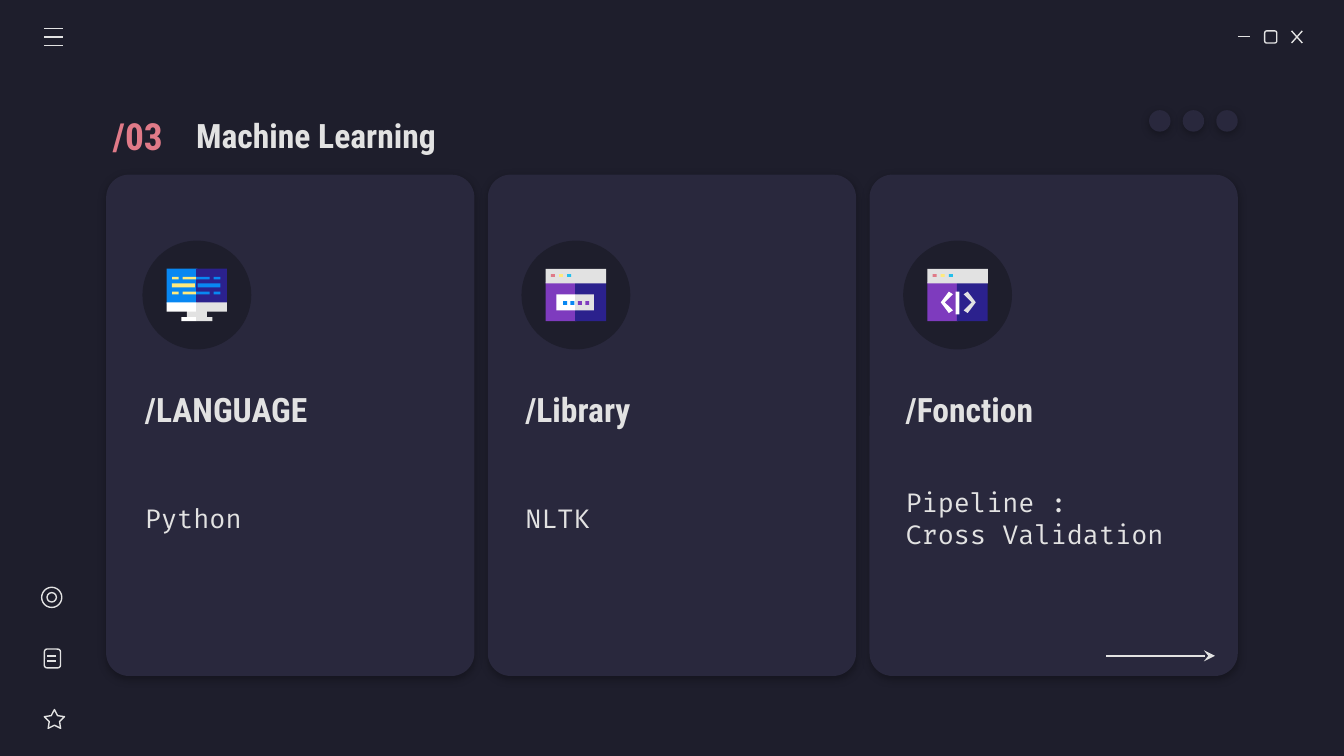
from lxml import etree
from pptx import Presentation
from pptx.dml.color import RGBColor
from pptx.enum.shapes import MSO_CONNECTOR, MSO_SHAPE as SHAPE
from pptx.enum.text import MSO_ANCHOR, MSO_AUTO_SIZE, PP_ALIGN
from pptx.oxml.ns import qn
from pptx.util import Inches, Pt

BACK, PANEL, LIGHT, WHITE = "1E1E2C", "29283D", "E2E2E2", "FFFFFF"
PINK, YELLOW, CYAN = "E07A88", "FFEA7D", "24BFEB"
BLUE, NAVY, PURPLE = "0887F2", "2B218D", "7E3BBE"
HEAD_FONT, CODE_FONT = "Roboto Condensed", "Fira Code"


def rgb(value):
    return RGBColor.from_string(value)


def paint(s, fill=None, line=None):
    s.shadow.inherit = False
    if fill:
        s.fill.solid()
        s.fill.fore_color.rgb = rgb(fill)
    else:
        s.fill.background()
    if line:
        s.line.color.rgb = rgb(line)
        s.line.width = Pt(0.75)
    else:
        s.line.fill.background()
    return s


def add_box(shapes, kind, x, y, w, h, fill=None, line=None):
    s = shapes.add_shape(kind, Inches(x), Inches(y), Inches(w), Inches(h))
    return paint(s, fill, line)


def add_line(shapes, x1, y1, x2, y2):
    s = shapes.add_connector(MSO_CONNECTOR.STRAIGHT, Inches(x1), Inches(y1), Inches(x2), Inches(y2))
    s.line.color.rgb = rgb(LIGHT)
    s.line.width = Pt(0.75)
    etree.SubElement(s._element.spPr, qn("a:effectLst"))
    return s


def add_polygon(shapes, points, fill):
    points = [(Inches(x), Inches(y)) for x, y in points]
    builder = shapes.build_freeform(*points[0], scale=1.0)
    builder.add_line_segments(points[1:], close=True)
    paint(builder.convert_to_shape(), fill)


def add_soft_shadow(s):
    effects = s._element.spPr.find(qn("a:effectLst"))
    shadow = etree.SubElement(effects, qn("a:outerShdw"), blurRad=str(Pt(4.5)), dist=str(Pt(1.5)),
                              dir="5400000", algn="bl", rotWithShape="0")
    color = etree.SubElement(shadow, qn("a:srgbClr"), val="000000")
    etree.SubElement(color, qn("a:alpha"), val="30000")


def write(s, lines, size, font, color=LIGHT, bold=False, align=PP_ALIGN.LEFT):
    tf = s.text_frame
    tf.word_wrap = True
    tf.auto_size = MSO_AUTO_SIZE.NONE
    tf.vertical_anchor = MSO_ANCHOR.MIDDLE
    tf.margin_left = tf.margin_right = tf.margin_top = tf.margin_bottom = Inches(0.1)
    for i, line in enumerate(lines):
        p = tf.add_paragraph() if i else tf.paragraphs[0]
        p.alignment = align
        r = p.add_run()
        r.text = line
        r.font.size, r.font.name, r.font.bold = Pt(size), font, bold
        r.font.color.rgb = rgb(color)


def add_text(shapes, x, y, w, h, lines, *style, **options):
    s = shapes.add_textbox(Inches(x), Inches(y), Inches(w), Inches(h))
    write(s, lines, *style, **options)


def add_blocks(shapes, x, y, blocks):
    for dx, dy, w, h, fill in blocks:
        add_box(shapes, SHAPE.RECTANGLE, x + dx, y + dy, w, h, fill)


def draw_monitor(shapes, x, y):
    blocks = [(0, 0, 0.23, 0.26, BLUE), (0.22, 0, 0.23, 0.26, NAVY),
              (0.15, 0.3, 0.15, 0.07, LIGHT),
              (0.11, 0.36, 0.11, 0.03, WHITE), (0.22, 0.36, 0.12, 0.03, LIGHT),
              (0, 0.25, 0.22, 0.07, WHITE), (0.22, 0.25, 0.23, 0.07, LIGHT),
              (0.04, 0.11, 0.17, 0.03, YELLOW), (0.23, 0.11, 0.17, 0.03, BLUE)]
    for row in (0.06, 0.17):
        blocks += [(0.04, row, 0.05, 0.02, YELLOW), (0.12, row, 0.1, 0.02, YELLOW),
                   (0.22, row, 0.1, 0.02, BLUE), (0.35, row, 0.05, 0.02, BLUE)]
    add_blocks(shapes, x, y, blocks)


def draw_window(shapes, x, y):
    blocks = [(0, 0.1, 0.23, 0.29, PURPLE), (0.22, 0.1, 0.23, 0.29, NAVY),
              (0, 0, 0.45, 0.11, LIGHT)]
    for i, fill in enumerate((PINK, YELLOW, CYAN)):
        blocks.append((0.04 + 0.06 * i, 0.04, 0.03, 0.02, fill))
    add_blocks(shapes, x, y, blocks)


def draw_password_window(shapes, x, y):
    draw_window(shapes, x, y)
    blocks = [(0.08, 0.19, 0.14, 0.12, WHITE), (0.22, 0.19, 0.14, 0.12, LIGHT)]
    for i, fill in enumerate((BLUE, BLUE, PURPLE, PURPLE)):
        blocks.append((0.13 + 0.055 * i, 0.24, 0.03, 0.03, fill))
    add_blocks(shapes, x, y, blocks)


def draw_code_window(shapes, x, y):
    draw_window(shapes, x, y)
    chevron = [(-0.07, -0.08), (-0.13, 0), (-0.07, 0.08), (-0.04, 0.06), (-0.1, 0), (-0.04, -0.06)]
    for side, fill in ((1, WHITE), (-1, LIGHT)):
        add_polygon(shapes, [(x + 0.23 + side * dx, y + 0.25 + dy) for dx, dy in chevron], fill)
    add_blocks(shapes, x, y, [(0.21, 0.17, 0.03, 0.17, WHITE)])


def add_card(shapes, x, y, w, h, circle_x, text_x, draw_icon, heading, lines):
    """Panel with a round icon, a heading and a caption; offsets count from its corner."""
    panel = add_box(shapes, SHAPE.ROUNDED_RECTANGLE, x, y, w, h, PANEL)
    panel.adjustments[0] = 0.062
    add_soft_shadow(panel)
    add_box(shapes, SHAPE.OVAL, x + circle_x, y + 0.49, 0.81, 0.81, BACK)
    draw_icon(shapes.add_group_shape().shapes, x + circle_x + 0.18, y + 0.7)
    add_text(shapes, x + text_x, y + 1.49, 2.38, 0.51, [heading], 18, HEAD_FONT, bold=True)
    add_text(shapes, x + text_x, y + 2.01, 2.38, 1.09, lines, 14, CODE_FONT)


def add_window_buttons(shapes, x, y):
    add_line(shapes, x, y + 0.04, x + 0.09, y + 0.04)
    add_box(shapes, SHAPE.ROUNDED_RECTANGLE, x + 0.2, y, 0.09, 0.09, line=LIGHT)
    add_line(shapes, x + 0.4, y, x + 0.48, y + 0.09)
    add_line(shapes, x + 0.48, y, x + 0.4, y + 0.09)


def add_menu(shapes, x, y):
    for i in range(3):
        add_line(shapes, x, y + 0.065 * i, x + 0.14, y + 0.065 * i)


def add_side_icons(shapes, x, y):
    add_box(shapes, SHAPE.OVAL, x, y, 0.15, 0.15, line=LIGHT)
    add_box(shapes, SHAPE.OVAL, x + 0.04, y + 0.04, 0.07, 0.07, line=LIGHT)
    add_box(shapes, SHAPE.ROUNDED_RECTANGLE, x + 0.02, y + 0.46, 0.12, 0.14, line=LIGHT)
    for dy in (0.51, 0.55):
        add_line(shapes, x + 0.04, y + dy, x + 0.11, y + dy)
    star = add_box(shapes, SHAPE.STAR_5_POINT, x + 0.02, y + 0.91, 0.15, 0.14, line=LIGHT)
    star.adjustments[0] = 0.254


def add_dots(shapes, x, y):
    for i in range(3):
        add_soft_shadow(add_box(shapes, SHAPE.OVAL, x + 0.25 * i, y, 0.16, 0.16, PANEL))


def add_heading(shapes, x, y, number, title):
    s = shapes.title
    s.left, s.top, s.width, s.height = Inches(x + 0.79), Inches(y), Inches(2.15), Inches(0.39)
    write(s, [title], 18, HEAD_FONT, bold=True)
    add_text(shapes, x, y + 0.01, 0.91, 0.38, [number], 20, HEAD_FONT, PINK,
             bold=True, align=PP_ALIGN.CENTER)


def add_arrow(shapes, x, y, w):
    arrow = add_line(shapes, x, y, x + w, y)
    etree.SubElement(arrow.line._get_or_add_ln(), qn("a:tailEnd"), type="stealth")


def main():
    prs = Presentation()
    prs.slide_width = Inches(10)
    prs.slide_height = prs.slide_width * 9 // 16
    slide = prs.slides.add_slide(prs.slide_layouts[5])
    slide.background.fill.solid()
    slide.background.fill.fore_color.rgb = rgb(BACK)
    shapes = slide.shapes

    add_window_buttons(shapes, 9.21, 0.23)
    add_menu(shapes, 0.33, 0.21)
    add_side_icons(shapes, 0.31, 4.37)
    add_heading(shapes, 0.57, 0.81, "/03", "Machine Learning")
    add_dots(shapes, 8.55, 0.82)
    cards = [(0.27, 0.19, draw_monitor, "/LANGUAGE", ["Python"]),
             (0.25, 0.18, draw_password_window, "/Library", ["NLTK"]),
             (0.25, 0.17, draw_code_window, "/Fonction", ["Pipeline :", "Cross Validation"])]
    for i, card in enumerate(cards):
        add_card(shapes, 0.79 + 2.84 * i, 1.3, 2.74, 3.73, *card)
    add_arrow(shapes, 8.23, 4.88, 0.81)
    prs.save("out.pptx")


if __name__ == "__main__":
    main()
